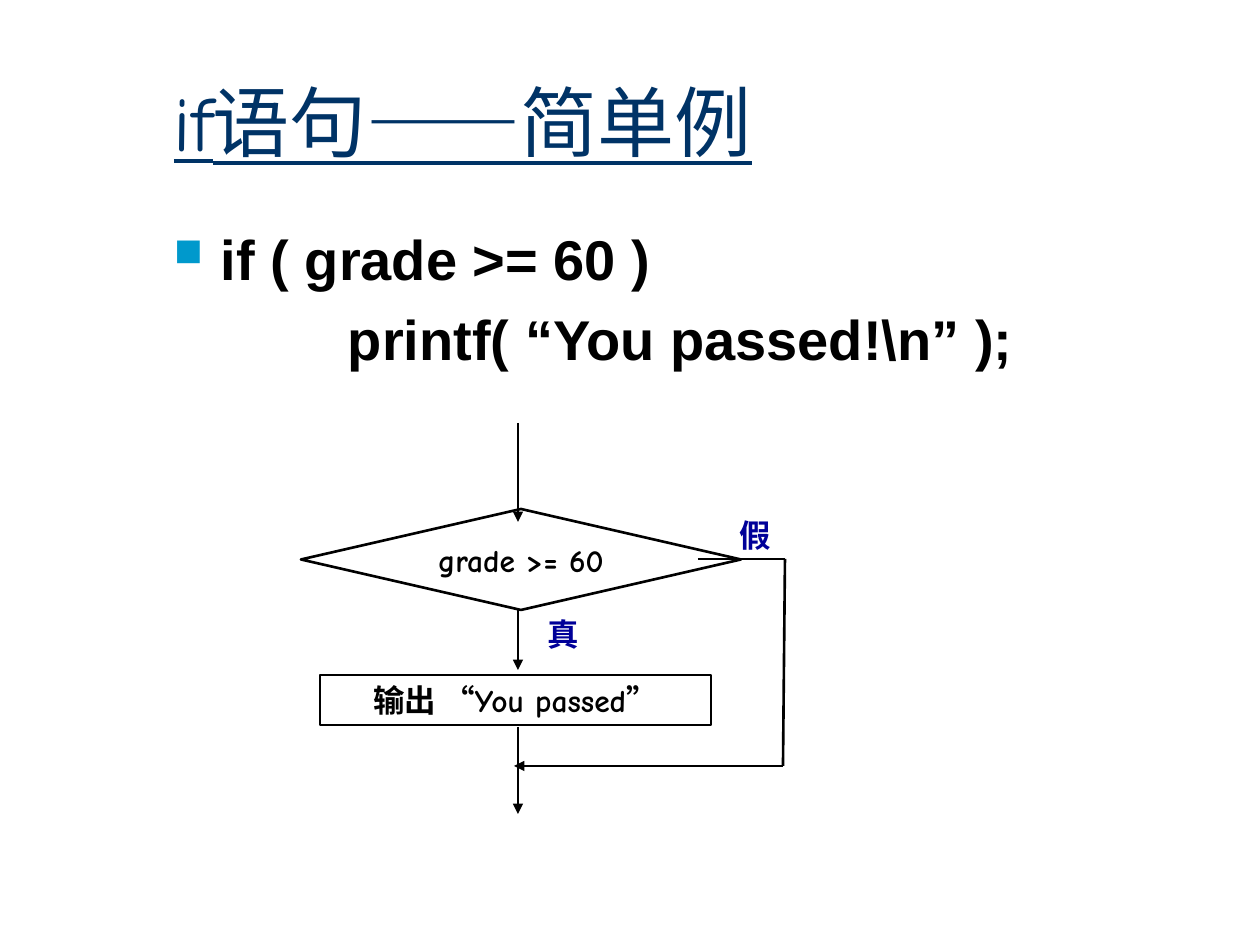
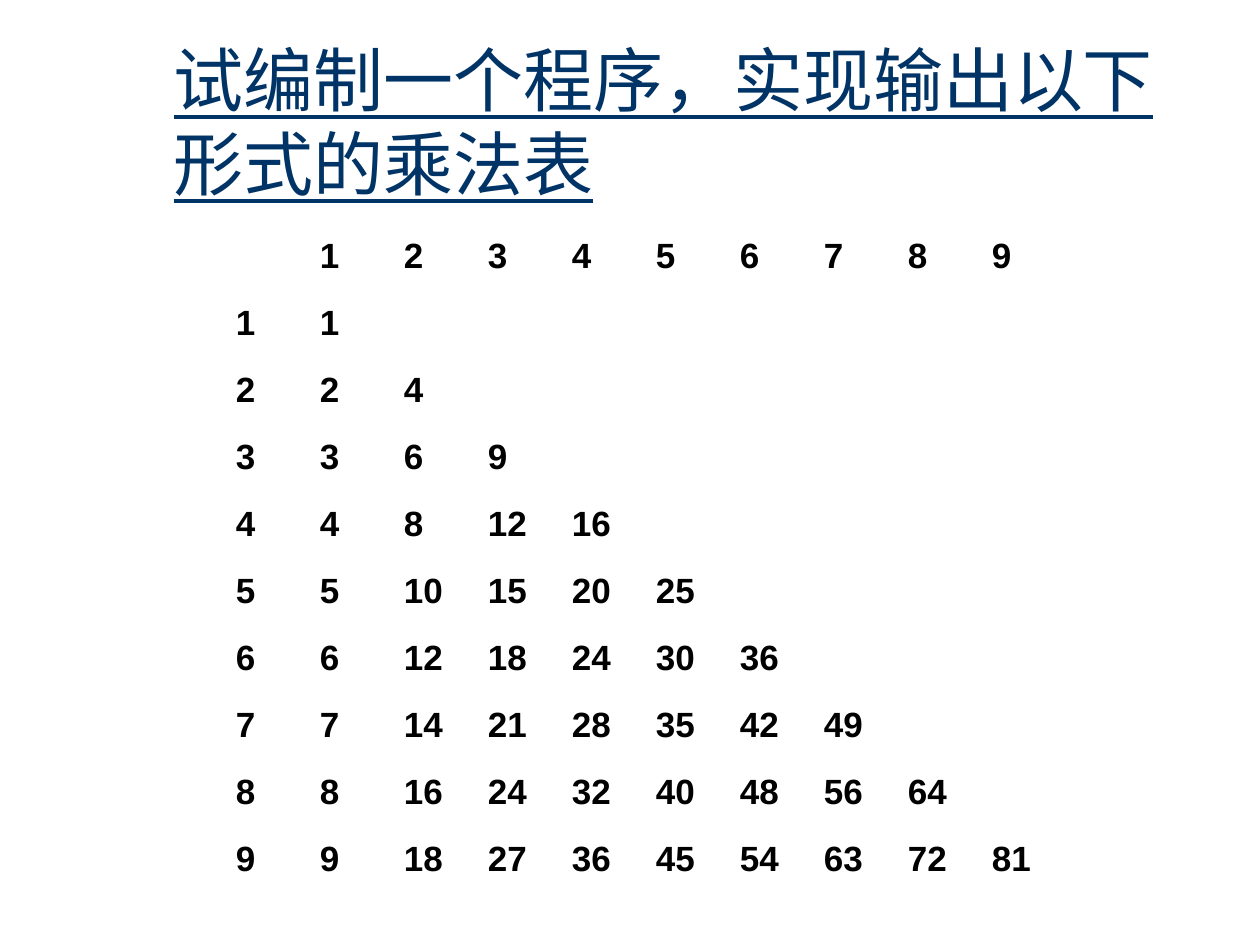
from lxml import etree
from pptx import Presentation
from pptx.dml.color import RGBColor
from pptx.enum.shapes import MSO_CONNECTOR, MSO_SHAPE
from pptx.enum.text import MSO_ANCHOR, PP_ALIGN
from pptx.oxml.ns import qn
from pptx.util import Emu, Pt

PX_PER_INCH = 126
COLORS = {"title": "003366", "text": "000000", "bullet": "0099CC", "branch": "000099"}
CODE_FONT, FLOW_FONT = "Arial", "Comic Neue"
LEFT, CENTER = PP_ALIGN.LEFT, PP_ALIGN.CENTER
TOP, MIDDLE = MSO_ANCHOR.TOP, MSO_ANCHOR.MIDDLE
STRAIGHT = MSO_CONNECTOR.STRAIGHT
PROCESS, DECISION = MSO_SHAPE.FLOWCHART_PROCESS, MSO_SHAPE.FLOWCHART_DECISION
INSET_X, INSET_Y = 13, 6


def px(n):
    return Emu(round(n * 914400 / PX_PER_INCH))


def rgb(name):
    return RGBColor.from_string(COLORS[name])


def write(p, text, size=18, font=FLOW_FONT, color="text", bold=False,
          underline=False, align=LEFT):
    p.alignment = align
    r = p.add_run()
    r.text = text
    f = r.font
    f.size, f.name, f.bold, f.underline = Pt(size), font, bold, underline
    f.color.rgb = rgb(color)


def set_frame(tf, anchor):
    tf.word_wrap = True
    tf.vertical_anchor = anchor
    tf.margin_left = tf.margin_right = px(INSET_X)
    tf.margin_top = tf.margin_bottom = px(INSET_Y)


def add_text_box(slide, box, anchor=TOP):
    tf = slide.shapes.add_textbox(*map(px, box)).text_frame
    set_frame(tf, anchor)
    return tf


def add_title(slide, text, size):
    tf = add_text_box(slide, (161, 42, 1071, 157), MIDDLE)
    write(tf.paragraphs[0], text, size=size, color="title", underline=True)


def set_indent(p, left, hanging=0):
    pPr = p._p.get_or_add_pPr()
    pPr.set("marL", str(px(left)))
    pPr.set("indent", str(px(-hanging)))
    return pPr


def add_square_bullet(p, indent):
    pPr = set_indent(p, indent, indent)
    color = etree.SubElement(pPr, qn("a:buClr"))
    etree.SubElement(color, qn("a:srgbClr"), val=COLORS["bullet"])
    etree.SubElement(pPr, qn("a:buSzPct"), val="70000")
    etree.SubElement(pPr, qn("a:buChar"), char="■")


def add_code(slide, condition, statement):
    tf = add_text_box(slide, (161, 231, 1071, 609))
    first, second = tf.paragraphs[0], tf.add_paragraph()
    add_square_bullet(first, 47)
    first.line_spacing = 0.8
    set_indent(second, 174)
    second.space_before = Pt(8)
    for p, text in ((first, condition), (second, statement)):
        write(p, text, size=32, font=CODE_FONT, bold=True)


def add_node(slide, kind, box, text):
    sp = slide.shapes.add_shape(kind, *map(px, box))
    sp.shadow.inherit = False
    sp.fill.background()
    sp.line.color.rgb = rgb("text")
    sp.line.width = Pt(1.5)
    set_frame(sp.text_frame, MIDDLE)
    write(sp.text_frame.paragraphs[0], text, bold=True, align=CENTER)


def add_line(slide, start, end, arrow=False):
    line = slide.shapes.add_connector(STRAIGHT, *map(px, start + end))
    line.line.color.rgb = rgb("text")
    line.line.width = Pt(1.5)
    if arrow:
        etree.SubElement(line.line._get_or_add_ln(), qn("a:tailEnd"), type="triangle")
    etree.SubElement(line._element.spPr, qn("a:effectLst"))


def add_branch_label(slide, box, text):
    tf = add_text_box(slide, box)
    write(tf.paragraphs[0], text, color="branch", bold=True, align=CENTER)


def add_flowchart(slide):
    axis = 518
    add_node(slide, PROCESS, (320, 675, 391, 50), "输出 “You passed”")
    add_node(slide, DECISION, (301, 509, 440, 101), "grade >= 60")
    for top, bottom in ((423, 522), (609, 670), (727, 814)):
        add_line(slide, (axis, top), (axis, bottom), arrow=True)
    add_line(slide, (698, 559), (785, 559))
    add_line(slide, (785, 559), (783, 766))
    add_line(slide, (783, 766), (514, 766), arrow=True)
    add_branch_label(slide, (668, 510, 174, 50), "假")
    add_branch_label(slide, (524, 609, 79, 50), "真")


def add_multiplication_table(slide, n=9, col_width=84, row_height=67):
    size = n + 1
    box = (223, 231, size * col_width, size * row_height)
    table = slide.shapes.add_table(size, size, *map(px, box)).table
    table.first_row = table.horz_banding = False
    for col in table.columns:
        col.width = px(col_width)
    for i in range(size):
        for j in range(size):
            cell = table.cell(i, j)
            cell.fill.background()
            cell.margin_left = cell.margin_right = px(INSET_X)
            cell.margin_top = cell.margin_bottom = px(INSET_Y)
            is_header = (i == 0) != (j == 0)
            if is_header or 0 < j <= i:
                value = i + j if is_header else i * j
                write(cell.text_frame.paragraphs[0], str(value), size=20,
                      font=CODE_FONT, bold=True)


def main():
    prs = Presentation()
    prs.slide_width, prs.slide_height = px(1260), px(945)
    blank = prs.slide_layouts[6]

    s = prs.slides.add_slide(blank)
    add_title(s, "if语句——简单例", 44)
    add_code(s, "if ( grade >= 60 )", "printf( “You passed!\\n” );")
    add_flowchart(s)

    s = prs.slides.add_slide(blank)
    add_title(s, "试编制一个程序，实现输出以下形式的乘法表", 40)
    add_multiplication_table(s)

    prs.save("out.pptx")


if __name__ == "__main__":
    main()
